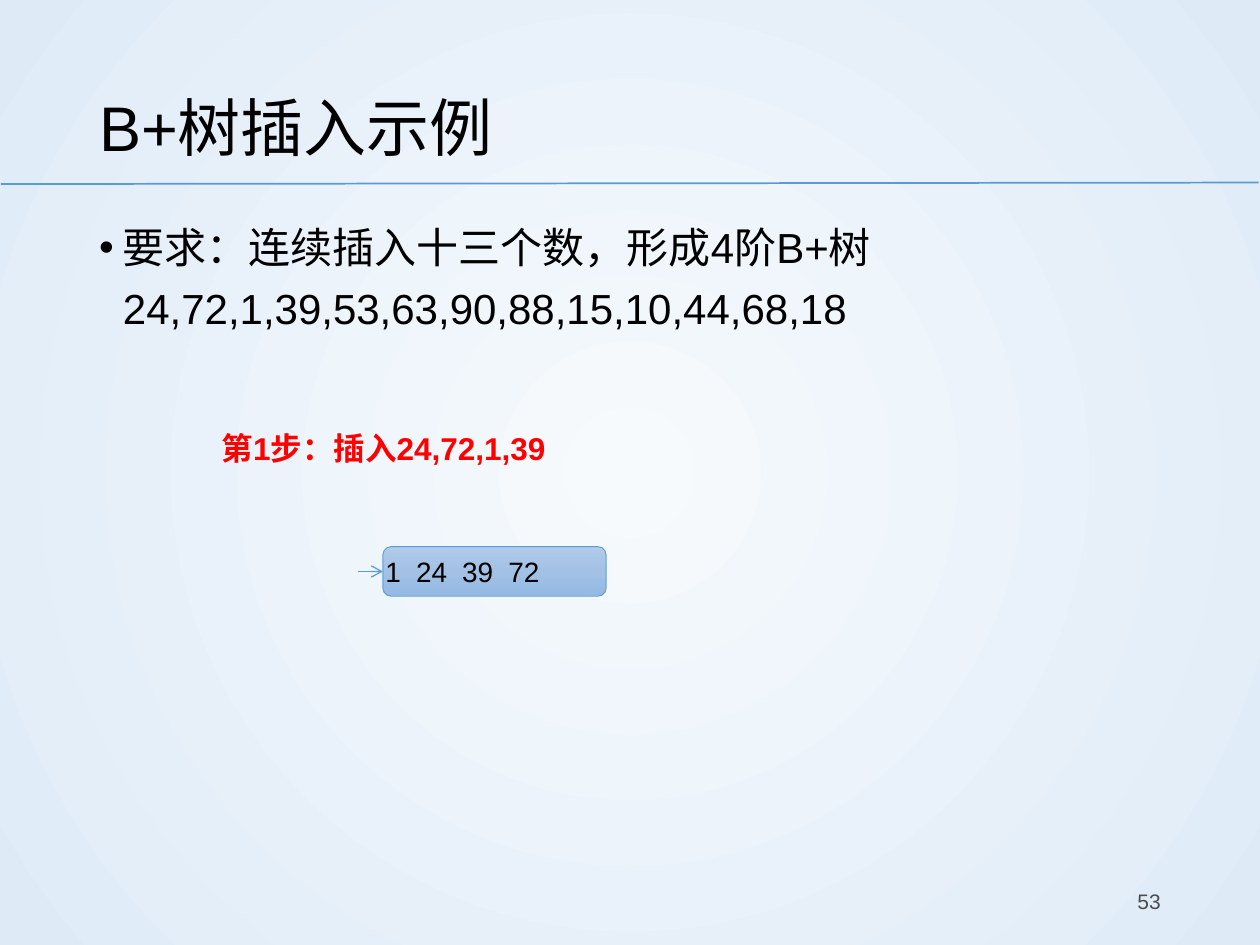
from dataclasses import dataclass

from lxml import etree
from pptx import Presentation
from pptx.dml.color import RGBColor
from pptx.enum.shapes import MSO_CONNECTOR, MSO_SHAPE
from pptx.enum.text import MSO_ANCHOR, PP_ALIGN
from pptx.oxml.ns import qn
from pptx.util import Cm, Pt

STRAIGHT = MSO_CONNECTOR.STRAIGHT
ROUNDED = MSO_SHAPE.ROUNDED_RECTANGLE
MIDDLE = MSO_ANCHOR.MIDDLE
LEFT, RIGHT = PP_ALIGN.LEFT, PP_ALIGN.RIGHT
LEFT_SIDE = 1


@dataclass(frozen=True)
class Theme:
    font: str = "Arial"
    ink: str = "000000"
    muted: str = "4B4B4B"
    accent: str = "FF0000"
    line: str = "5B9BD5"
    backdrop: tuple = ((0, "F7FAFD"), (100, "DEEBF7"))
    node: tuple = ((0, "B1CBE9"), (50, "A3C1E5"), (100, "93B9E4"))
    title_size: int = 36
    body_size: int = 24
    step_size: int = 18
    key_size: int = 16
    number_size: int = 12


THEME = Theme()


def apply_format(target, values):
    for name, value in values.items():
        setattr(target, name, value)


def add_element(parent, tag, **attributes):
    element = etree.SubElement(parent, qn(tag))
    for name, value in attributes.items():
        element.set(name, str(value))
    return element


def fill_gradient(owner, fill, stops, radial=False):
    fill.gradient()
    gradient = owner.xpath(".//a:gradFill")[0]
    for child in list(gradient):
        gradient.remove(child)
    stop_list = add_element(gradient, "a:gsLst")
    for percent, colour in stops:
        stop = add_element(stop_list, "a:gs", pos=percent * 1000)
        add_element(stop, "a:srgbClr", val=colour)
    if radial:
        shade = add_element(gradient, "a:path", path="circle")
        add_element(shade, "a:fillToRect", l=50000, t=50000, r=50000, b=50000)
    else:
        add_element(gradient, "a:lin", ang=5400000, scaled=0)


def style_line(line, width):
    line.color.rgb = RGBColor.from_string(THEME.line)
    line.width = Pt(width)


def write(frame, text, size, colour=THEME.ink, bold=False, frame_format=None, paragraph_format=None):
    apply_format(frame, {"word_wrap": True, **(frame_format or {})})
    paragraph = frame.paragraphs[0]
    paragraph.text = text
    apply_format(paragraph, paragraph_format or {})
    font = paragraph.runs[0].font
    apply_format(font, {"name": THEME.font, "size": Pt(size), "bold": bold})
    font.color.rgb = RGBColor.from_string(colour)
    return paragraph


def add_text(slide, box, text, size, **options):
    frame = slide.shapes.add_textbox(*map(Cm, box)).text_frame
    return write(frame, text, size, **options)


def add_bullet(paragraph, indent):
    properties = paragraph._p.get_or_add_pPr()
    properties.set("marL", str(Cm(indent)))
    properties.set("indent", str(-Cm(indent)))
    add_element(properties, "a:buFont", typeface=THEME.font)
    add_element(properties, "a:buChar", char="•")


def add_line(slide, ends, width, arrow=False):
    connector = slide.shapes.add_connector(STRAIGHT, *map(Cm, ends))
    style_line(connector.line, width)
    if arrow:
        add_element(connector.line._get_or_add_ln(), "a:tailEnd", type="arrow")
    add_element(connector._element.spPr, "a:effectLst")
    return connector


def add_node(slide, box, keys, key_step):
    node = slide.shapes.add_shape(ROUNDED, *map(Cm, box))
    node.shadow.inherit = False
    fill_gradient(node._element, node.fill, THEME.node)
    style_line(node.line, 0.5)
    paragraph = write(
        node.text_frame, "\t".join(map(str, keys)), THEME.key_size,
        frame_format={
            "margin_left": 0, "margin_top": 0, "margin_right": Cm(0.5),
            "margin_bottom": 0, "vertical_anchor": MIDDLE,
        },
        paragraph_format={"alignment": LEFT},
    )
    tabs = add_element(paragraph._p.get_or_add_pPr(), "a:tabLst")
    for index in range(len(keys) - 1):
        position = Cm(0.62 + index * key_step)
        add_element(tabs, "a:tab", pos=position, algn="l")
    return node


def main():
    deck = Presentation()
    deck.slide_width, deck.slide_height = Cm(25.4), Cm(19.05)
    slide = deck.slides.add_slide(deck.slide_layouts[6])
    fill_gradient(slide.element, slide.background.fill, THEME.backdrop, radial=True)

    add_line(slide, (0.02, 3.71, 25.37, 3.68), 1)
    add_text(
        slide, (1.75, 1.02, 21.9, 2.74), "B+树插入示例", THEME.title_size,
        frame_format={"vertical_anchor": MIDDLE},
        paragraph_format={"line_spacing": 1.2},
    )
    task = add_text(
        slide, (1.75, 4.14, 21.9, 13.03),
        "要求：连续插入十三个数，形成4阶B+树24,72,1,39,53,63,90,88,15,10,44,68,18",
        THEME.body_size, paragraph_format={"line_spacing": 1.2},
    )
    add_bullet(task, 0.48)
    add_text(
        slide, (17.93, 17.65, 5.72, 1.02), "53", THEME.number_size, colour=THEME.muted,
        frame_format={"vertical_anchor": MIDDLE},
        paragraph_format={"alignment": RIGHT},
    )

    leaf = add_node(slide, (7.72, 11.02, 4.5, 1), (1, 24, 39, 72), 0.93)
    pointer = add_line(slide, (7.21, 11.52, 7.72, 11.52), 0.75, arrow=True)
    pointer.end_connect(leaf, LEFT_SIDE)
    add_text(
        slide, (4.22, 8.53, 9.47, 1.02), "第1步：插入24,72,1,39", THEME.step_size,
        colour=THEME.accent, bold=True,
    )
    deck.save("out.pptx")


if __name__ == "__main__":
    main()
